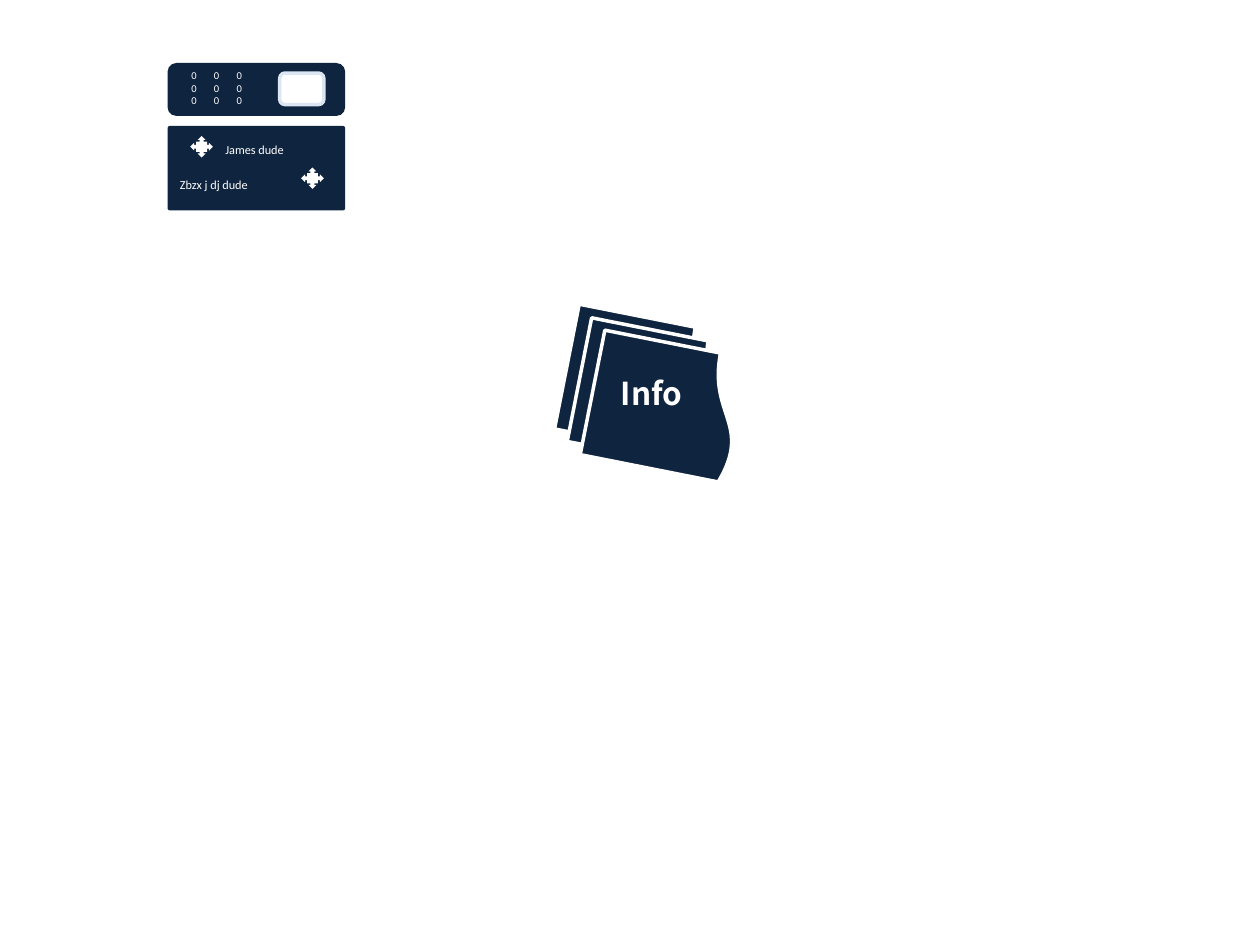
"""Build a slide with a small control panel and an info stack."""
from pptx import Presentation
from pptx.dml.color import RGBColor
from pptx.enum.shapes import MSO_SHAPE
from pptx.enum.text import MSO_AUTO_SIZE
from pptx.util import Inches, Pt

ROUND = MSO_SHAPE.ROUNDED_RECTANGLE
ARROWS = MSO_SHAPE.QUAD_ARROW_CALLOUT
STACK = MSO_SHAPE.FLOWCHART_MULTIDOCUMENT
GROW = MSO_AUTO_SIZE.SHAPE_TO_FIT_TEXT
COLORS = {"navy": "0F243E", "white": "FFFFFF", "pale": "DCE6F2"}


def add_form(group, kind, box, fill, line=None):
    form = group.shapes.add_shape(kind, *map(Inches, box))
    form.shadow.inherit = False
    form.fill.solid()
    form.fill.fore_color.rgb = RGBColor.from_string(COLORS[fill])
    if line:
        form.line.color.rgb = RGBColor.from_string(COLORS[line])
        form.line.width = Pt(2)
    else:
        form.line.fill.background()
    return form


def add_text(group, box, lines, size, font="Calibri", bold=False):
    frame = group.shapes.add_textbox(*map(Inches, box)).text_frame
    frame.word_wrap = True
    frame.auto_size = GROW
    for i, line in enumerate(lines):
        para = frame.add_paragraph() if i else frame.paragraphs[0]
        run = para.add_run()
        run.text = line
        run.font.size = Pt(size)
        run.font.name = font
        run.font.bold = bold
        run.font.color.rgb = RGBColor.from_string(COLORS["white"])


prs = Presentation()
prs.slide_width = Inches(10)
prs.slide_height = Inches(7.5)
slide = prs.slides.add_slide(prs.slide_layouts[6])

panel = slide.shapes.add_group_shape()
card = add_form(panel, ROUND, (1.33, 1, 1.41, 0.67), "navy")
card.adjustments[0] = 0.028
for left, top, label in [(1.33, 1.36, "Zbzx j dj dude "), (1.69, 1.08, "James dude ")]:
    add_text(panel, (left, top, 1.15, 0.22), [label], 7)
for left, top in [(1.51, 1.08), (2.39, 1.33)]:
    add_form(panel, ARROWS, (left, top, 0.18, 0.17), "white")

add_form(panel, ROUND, (1.33, 0.5, 1.41, 0.42), "navy")
for col in range(3):
    add_text(panel, (1.42 + col * 0.18, 0.5, 0.26, 0.4), ["0"] * 3, 6)
add_form(panel, ROUND, (2.22, 0.58, 0.35, 0.25), "white", "pale")

info = slide.shapes.add_group_shape()
stack = add_form(info, STACK, (4.59, 2.42, 1.17, 1.41), "navy", "white")
stack.rotation = 281.2
add_text(info, (4.83, 2.92, 0.75, 0.4), ["Info"], 18, "Noto Sans CJK KR", True)

prs.save("out.pptx")
